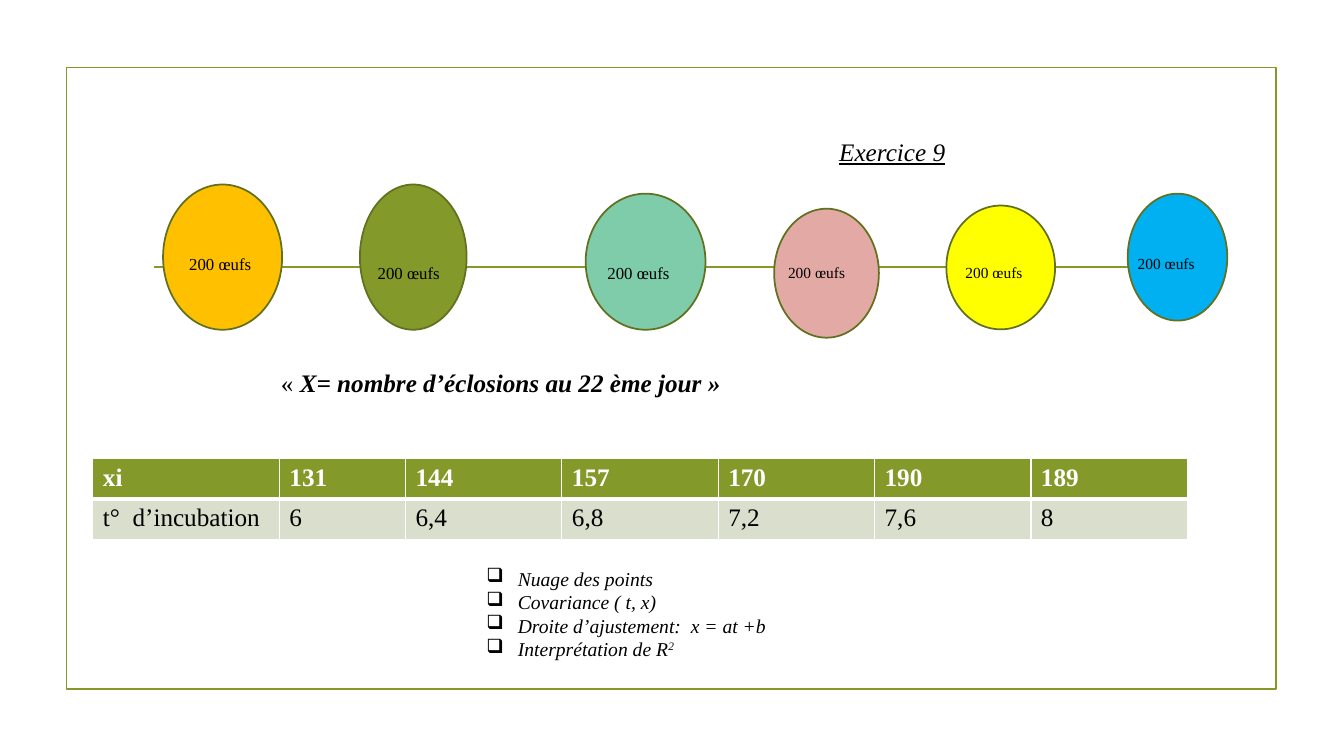
from lxml import etree
from pptx import Presentation
from pptx import util as u
from pptx.dml.color import RGBColor
from pptx.enum import shapes, text
from pptx.oxml import ns

BLACK = RGBColor(0x00, 0x00, 0x00)
WHITE = RGBColor(0xFF, 0xFF, 0xFF)
OLIVE = RGBColor(0x83, 0x99, 0x2A)
MOSS = RGBColor(0x61, 0x71, 0x1F)
PALE = RGBColor(0xD9, 0xDE, 0xCD)
AMBER = RGBColor(0xFF, 0xC0, 0x00)
MINT = RGBColor(0x7F, 0xCC, 0xAB)
PINK = RGBColor(0xE3, 0xAA, 0xA5)
YELLOW = RGBColor(0xFF, 0xFF, 0x00)
BLUE = RGBColor(0x00, 0xB0, 0xF0)


def add(parent, tag, **attrs):
    return etree.SubElement(parent, ns.qn(tag), attrs)


class Board:
    font = "Times New Roman"
    stroke = u.Pt(1.25)

    def __init__(self, slide):
        self.slide = slide

    def style(self, run, size, color=BLACK, bold=False, italic=False):
        run.font.name = self.font
        run.font.size = u.Pt(size)
        run.font.color.rgb = color
        run.font.bold = bold
        run.font.italic = italic

    def shape(self, kind, box, line, fill=None):
        item = self.slide.shapes.add_shape(kind, *map(u.Cm, box))
        item.shadow.inherit = False
        if fill is None:
            item.fill.background()
        else:
            item.fill.solid()
            item.fill.fore_color.rgb = fill
        item.line.color.rgb = line
        item.line.width = self.stroke

    def line(self, x1, x2, y, color):
        item = self.slide.shapes.add_connector(
            shapes.MSO_CONNECTOR.STRAIGHT, u.Cm(x1), u.Cm(y), u.Cm(x2), u.Cm(y))
        item.line.color.rgb = color
        item.line.width = self.stroke
        add(item._element.spPr, "a:effectLst")

    def label(self, box, words, size, **look):
        frame = self.slide.shapes.add_textbox(*map(u.Cm, box)).text_frame
        frame.word_wrap = True
        frame.auto_size = text.MSO_AUTO_SIZE.SHAPE_TO_FIT_TEXT
        frame.text = words
        for par in frame.paragraphs:
            for run in par.runs:
                self.style(run, size, **look)
        return frame

    def bullets(self, box, items, size, indent):
        frame = self.label(box, "\n".join(items), size, italic=True)
        for par in frame.paragraphs:
            props = par._p.get_or_add_pPr()
            props.set("marL", str(u.Cm(indent)))
            props.set("indent", str(-u.Cm(indent)))
            add(props, "a:buChar", char="❑")
        return frame

    def edges(self, cell, base):
        props = cell._tc.get_or_add_tcPr()
        for side, width in (("L", 1), ("R", 1), ("T", 1), ("B", base)):
            edge = add(props, "a:ln" + side, w=str(u.Pt(width)))
            add(add(edge, "a:solidFill"), "a:srgbClr", val=str(WHITE))

    def table(self, left, top, widths, height, rows, size):
        grid = self.slide.shapes.add_table(
            len(rows), len(widths), u.Cm(left), u.Cm(top),
            u.Cm(sum(widths)), u.Cm(height * len(rows))).table
        for col, width in zip(grid.columns, widths):
            col.width = u.Cm(width)
        for r, row in enumerate(rows):
            grid.rows[r].height = u.Cm(height)
            head = r == 0
            for c, words in enumerate(row):
                cell = grid.cell(r, c)
                self.edges(cell, 3 if head else 1)
                cell.fill.solid()
                cell.fill.fore_color.rgb = OLIVE if head else PALE
                cell.text_frame.text = words
                self.style(cell.text_frame.paragraphs[0].runs[0], size,
                           WHITE if head else BLACK, bold=head)


def main():
    deck = Presentation()
    deck.slide_width, deck.slide_height = u.Cm(33.87), u.Cm(19.05)
    board = Board(deck.slides.add_slide(deck.slide_layouts[6]))

    # Frame, rule and title
    board.shape(shapes.MSO_SHAPE.RECTANGLE, (1.68, 1.7, 30.48, 15.67), OLIVE)
    board.line(3.89, 30, 6.73, OLIVE)
    title = board.label((20.9, 3.3, 8.36, 1.02), "Exercice 9", 18, italic=True)
    title.paragraphs[0].runs[0].font.underline = True

    # Egg batches: oval box, colour, then label left, top, width and size
    eggs = [
        ((4.11, 4.65, 3, 3.66), AMBER, (4.52, 6.27, 2.31), 12),
        ((9.07, 4.65, 2.69, 3.66), OLIVE, (9.27, 6.5, 2.41), 12),
        ((14.76, 4.88, 3.02, 3.43), MINT, (15.06, 6.5, 2.49), 12),
        ((19.51, 5.26, 2.64, 3.25), PINK, (19.61, 6.5, 2.46), 11),
        ((23.85, 5.18, 2.74, 3.12), YELLOW, (24.08, 6.5, 2.34), 11),
        ((28.42, 4.88, 2.51, 3.2), BLUE, (28.42, 6.27, 2.77), 11),
    ]
    for oval, color, place, size in eggs:
        board.shape(shapes.MSO_SHAPE.OVAL, oval, MOSS, color)
        board.label((*place, 0.75), "200 œufs", size)

    # Caption: plain opening mark, bold italic words
    quote = board.label((6.83, 9.12, 20.42, 1.02), "«", 18)
    run = quote.paragraphs[0].add_run()
    run.text = " X= nombre d’éclosions au 22 ème jour »"
    board.style(run, 18, bold=True, italic=True)

    # Data table
    rows = [
        ["xi", "131", "144", "157", "170", "190", "189"],
        ["t°  d’incubation", "6", "6,4", "6,8", "7,2", "7,6", "8"],
    ]
    board.table(2.34, 11.56, [4.7, 3.18] + [3.94] * 5, 1.02, rows, 18)

    # Tasks, with a raised 2 at the end
    tasks = ["Nuage des points", "Covariance ( t, x)",
             "Droite d’ajustement:  x = at +b", "Interprétation de R"]
    frame = board.bullets((12.01, 14.15, 8.89, 2.64), tasks, 14, 0.79)
    power = frame.paragraphs[-1].add_run()
    power.text = "2"
    board.style(power, 14, italic=True)
    power._r.get_or_add_rPr().set("baseline", "30000")

    deck.save("out.pptx")


if __name__ == "__main__":
    main()
